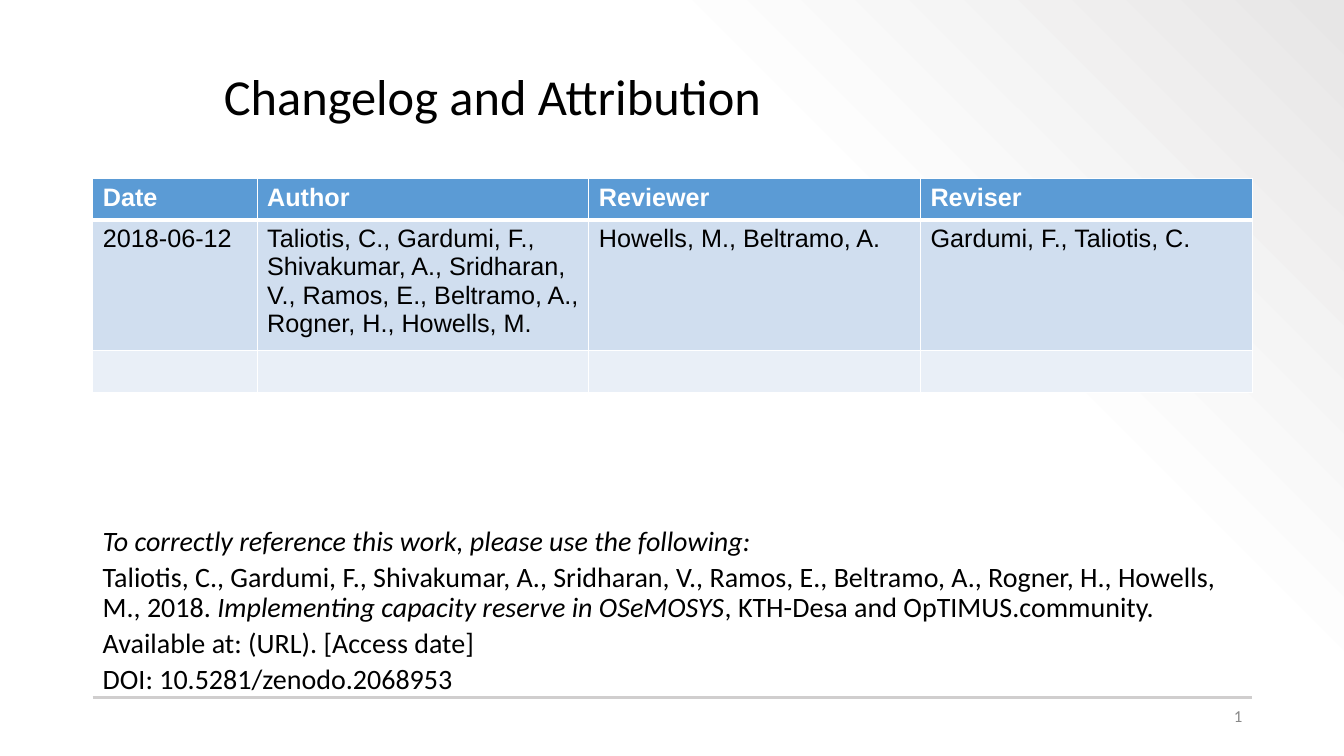
from lxml import etree
from pptx import Presentation
from pptx import util as u
from pptx.dml.color import RGBColor
from pptx.enum import shapes, text
from pptx.oxml.ns import qn

COLORS = {
    "black": "000000", "white": "FFFFFF", "rule": "D0CECE", "number": "888888",
    "header": "5B9BD5", "band1": "D0DEEF", "band2": "E9EFF7",
    "bg_mid": "FDFDFD", "bg_end": "E7E6E6",
}
LEFT, WIDTH = 0.92, 11.5
RIGHT = LEFT + WIDTH

CHANGELOG = [
    ["Date", "Author", "Reviewer", "Reviser"],
    ["2018-06-12",
     "Taliotis, C., Gardumi, F., Shivakumar, A., Sridharan, V., Ramos, E., "
     "Beltramo, A., Rogner, H., Howells, M.",
     "Howells, M., Beltramo, A.", "Gardumi, F., Taliotis, C."],
    [""] * 4,
]
# Each paragraph is a list of (wording, italic) runs.
REFERENCE = [
    [("To correctly reference this work, please use the following:", True)],
    [("Taliotis, C., Gardumi, F., Shivakumar, A., Sridharan, V., Ramos, E., "
      "Beltramo, A., Rogner, H., Howells, M., 2018. ", False),
     ("Implementing capacity reserve in OSeMOSYS", True),
     (", KTH-Desa and OpTIMUS.community.", False)],
    [("Available at: (URL). [Access date]", False)],
    [("DOI: 10.5281/zenodo.2068953", False)],
]


def rgb(name):
    return RGBColor.from_string(COLORS[name])


class Deck:
    """Holds the presentation, the current slide and the shared style."""

    def __init__(self):
        self.prs = Presentation()
        self.prs.slide_width = u.Inches(13.33)
        self.prs.slide_height = u.Inches(7.5)
        self.s = self.prs.slides.add_slide(self.prs.slide_layouts[5])

    def background(self, stops, angle):
        """Fill with (percent, colour, opacity) stops; angle is counter-clockwise."""
        fill = self.s.background.fill
        fill.gradient()
        fill.gradient_angle = angle
        gs_list = self.s.element.find(".//" + qn("a:gsLst"))
        for gs in list(gs_list):
            gs_list.remove(gs)
        for percent, color, opacity in stops:
            gs = etree.SubElement(gs_list, qn("a:gs"), pos=str(percent * 1000))
            clr = etree.SubElement(gs, qn("a:srgbClr"), val=COLORS[color])
            if opacity < 100:
                etree.SubElement(clr, qn("a:alpha"), val=str(opacity * 1000))

    def run(self, p, wording, size, color="black", font="Calibri", bold=False, italic=False):
        r = p.add_run()
        r.text = wording
        r.font.name, r.font.size = font, u.Pt(size)
        r.font.bold, r.font.italic = bold, italic
        r.font.color.rgb = rgb(color)

    def title(self, wording, x, y, w, h):
        sp = self.s.shapes.title
        sp.left, sp.top, sp.width, sp.height = map(u.Inches, (x, y, w, h))
        tf = sp.text_frame
        tf.auto_size = text.MSO_AUTO_SIZE.NONE
        tf.vertical_anchor = text.MSO_ANCHOR.MIDDLE
        p = tf.paragraphs[0]
        p.alignment, p.line_spacing = text.PP_ALIGN.LEFT, 0.9
        self.run(p, wording, 36)

    def text_box(self, paragraphs, x, y, w, h, size, color="black", spacing=1.0,
                 before=0, align=text.PP_ALIGN.LEFT, anchor=text.MSO_ANCHOR.TOP):
        tf = self.s.shapes.add_textbox(*map(u.Inches, (x, y, w, h))).text_frame
        tf.word_wrap, tf.vertical_anchor = True, anchor
        for i, runs in enumerate(paragraphs):
            p = tf.add_paragraph() if i else tf.paragraphs[0]
            p.alignment, p.line_spacing = align, spacing
            p.space_before = u.Pt(before if i else 0)
            for wording, italic in runs:
                self.run(p, wording, size, color, italic=italic)

    def rule(self, x1, x2, y):
        c = self.s.shapes.add_connector(
            shapes.MSO_CONNECTOR.STRAIGHT, *map(u.Inches, (x1, y, x2, y)))
        c.line.color.rgb, c.line.width = rgb("rule"), u.Pt(1.5)
        etree.SubElement(c._element.spPr, qn("a:effectLst"))

    def borders(self, cell, top, bottom):
        """Draw white borders; top and bottom are widths in points."""
        tc_pr = cell._tc.get_or_add_tcPr()
        for side, width in (("L", 1), ("R", 1), ("T", top), ("B", bottom)):
            ln = etree.SubElement(tc_pr, qn("a:ln" + side), w=str(u.Pt(width)))
            fill = etree.SubElement(ln, qn("a:solidFill"))
            etree.SubElement(fill, qn("a:srgbClr"), val=COLORS["white"])

    def table(self, rows, x, y, widths, heights):
        tbl = self.s.shapes.add_table(
            len(rows), len(widths),
            *map(u.Inches, (x, y, sum(widths), sum(heights)))).table
        for col, width in zip(tbl.columns, widths):
            col.width = u.Inches(width)
        for i, (row, height) in enumerate(zip(rows, heights)):
            tbl.rows[i].height = u.Inches(height)
            for j, wording in enumerate(row):
                cell = tbl.cell(i, j)
                self.borders(cell, 3 if i == 1 else 1, 3 if i == 0 else 1)
                cell.fill.solid()
                cell.fill.fore_color.rgb = rgb(("header", "band1", "band2")[i])
                if wording:
                    self.run(cell.text_frame.paragraphs[0], wording, 18,
                             "black" if i else "white", "Arial", bold=i == 0)


def main():
    d = Deck()
    d.background([(0, "white", 100), (69, "bg_mid", 100), (100, "bg_end", 50)], 45)
    d.rule(LEFT, RIGHT, 6.92)
    d.text_box(REFERENCE, LEFT, 5.02, WIDTH, 1.93, 20, spacing=0.9, before=4,
               anchor=text.MSO_ANCHOR.BOTTOM)
    d.title("Changelog and Attribution", 2.12, 0.37, 10.3, 1.22)
    d.table(CHANGELOG, LEFT, 1.77, [1.63] + [3.29] * 3, [0.41, 1.21, 0.41])
    d.text_box([[("1", False)]], RIGHT - 1.3, 6.95, 1.3, 0.4, 12, "number",
               align=text.PP_ALIGN.RIGHT)
    d.prs.save("out.pptx")


if __name__ == "__main__":
    main()
